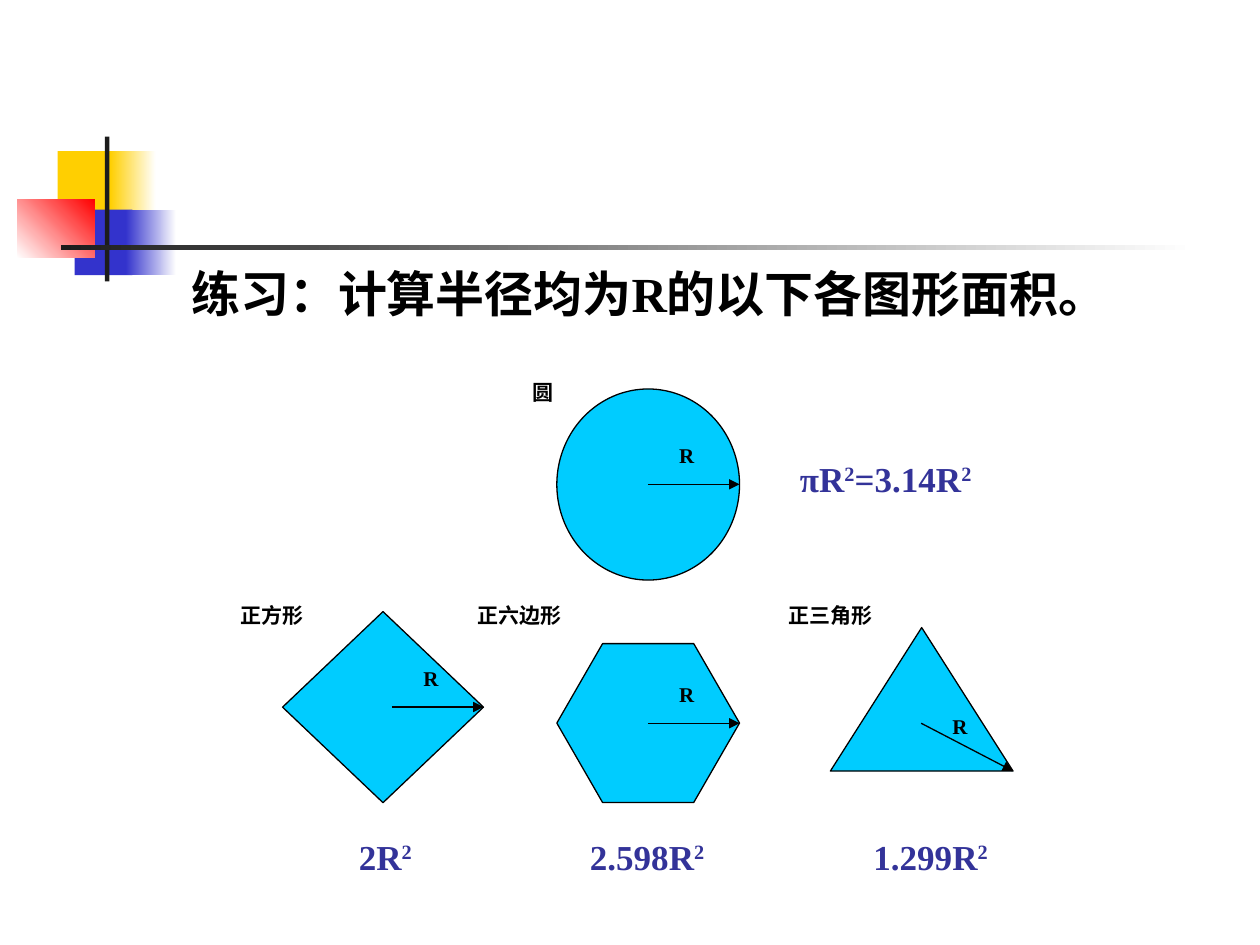
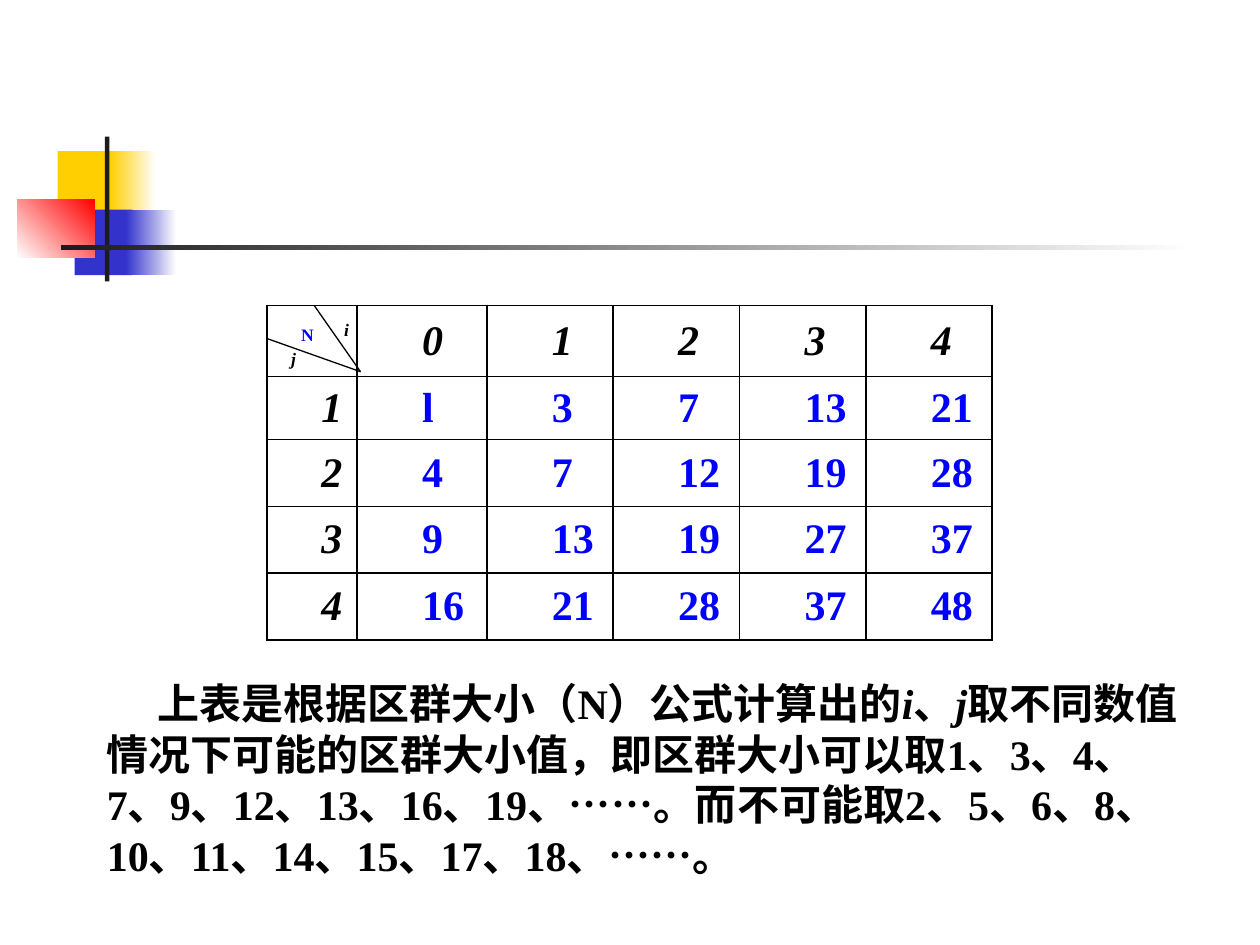
from lxml import etree
from pptx import Presentation
from pptx.dml.color import RGBColor
from pptx.enum import shapes, text
from pptx.oxml import ns
from pptx.util import Pt

BLACK = RGBColor(0, 0, 0)
WHITE = RGBColor(255, 255, 255)
INK = RGBColor(0x1C, 0x1C, 0x1C)
YELLOW = RGBColor(0xFF, 0xCF, 0x01)
INDIGO = RGBColor(0x33, 0x33, 0xCC)
RED = RGBColor(255, 0, 0)
CYAN = RGBColor(0x00, 0xCC, 0xFF)
NAVY = RGBColor(0x33, 0x33, 0x99)
BLUE = RGBColor(0, 0, 255)
FONT = "Times New Roman"
SHAPE = shapes.MSO_SHAPE


def write(p, words, size=24, color=BLACK, italic=False, raised=False):
    r = p.add_run()
    r.text = words
    f = r.font
    f.name, f.size, f.bold, f.italic = FONT, Pt(size), True, italic
    f.color.rgb = color
    if raised:
        r._r.get_or_add_rPr().set("baseline", "30000")


def sub(parent, tag, **attrs):
    return etree.SubElement(parent, ns.qn(tag), **attrs)


class Deck:
    """Holds the presentation, its shared style and the current slide."""

    def __init__(self):
        self.prs = Presentation()
        self.prs.slide_width, self.prs.slide_height = Pt(720), Pt(540)
        self.s = None

    def new_slide(self):
        self.s = self.prs.slides.add_slide(self.prs.slide_layouts[6])
        self.shape(SHAPE.RECTANGLE, (33, 86.4, 34.5, 37.4), YELLOW)
        self.fade((63, 86.4, 26, 37.4), YELLOW, WHITE)
        self.shape(SHAPE.RECTANGLE, (42.7, 119.8, 33, 37.4), INDIGO)
        self.fade((72, 119.8, 28.8, 37.4), INDIGO, WHITE)
        self.fade((9.8, 113.8, 44.4, 33.5), WHITE, RED, 45)
        self.shape(SHAPE.RECTANGLE, (60, 78, 2.5, 82.8), INK)
        self.fade((34.8, 140.2, 648, 2.5), INK, WHITE)

    def shape(self, kind, box, color, outlined=False):
        sp = self.s.shapes.add_shape(kind, *map(Pt, box))
        sp.shadow.inherit = False
        sp.fill.solid()
        sp.fill.fore_color.rgb = color
        if outlined:
            sp.line.color.rgb, sp.line.width = BLACK, Pt(0.75)
        else:
            sp.line.fill.background()
        return sp

    def fade(self, box, start, end, angle=0):
        """Rectangle blending start into end; angle runs counter-clockwise."""
        fill = self.shape(SHAPE.RECTANGLE, box, start).fill
        fill.gradient()
        fill.gradient_angle = angle
        for stop, color, place in zip(fill.gradient_stops, (start, end), (0, 1)):
            stop.color.rgb, stop.position = color, place

    def line(self, start, end, arrow=False):
        c = self.s.shapes.add_connector(shapes.MSO_CONNECTOR.STRAIGHT,
                                        *map(Pt, (*start, *end)))
        c.line.color.rgb, c.line.width = BLACK, Pt(0.75)
        if arrow:
            sub(c.line._get_or_add_ln(), "a:tailEnd", type="triangle")
        sub(c._element.spPr, "a:effectLst")

    def text(self, box, *runs, inset=True, wrap=True, indent=0, **fmt):
        """Text box; each run is a string or a (string, format) pair."""
        tf = self.s.shapes.add_textbox(*map(Pt, box)).text_frame
        tf.word_wrap = wrap
        if not inset:
            tf.margin_left = tf.margin_right = tf.margin_top = tf.margin_bottom = 0
        p = tf.paragraphs[0]
        if indent:
            p._p.get_or_add_pPr().set("indent", str(Pt(indent)))
        for run in runs:
            words, own = (run, {}) if isinstance(run, str) else run
            write(p, words, **{**fmt, **own})

    def formula(self, left, top, width, *bases):
        """Each base is followed by a raised 2."""
        runs = []
        for base in bases:
            runs += [base, ("2", {"raised": True})]
        self.text((left, top, width, 31), *runs, size=20, color=NAVY)

    def figure(self, kind, box, centre, tip, radius_at, name, name_box):
        """Named shape with an arrow R from its centre to its outline."""
        sp = self.shape(kind, box, CYAN, outlined=True)
        if kind == SHAPE.HEXAGON:
            sp.adjustments[0] = 0.288
        self.line(centre, tip, arrow=True)
        self.text((*radius_at, 21, 27.4), "R", size=12)
        self.text((*name_box, 27.4), name, size=12)

    def table(self, left, top, widths, heights, rows):
        t = self.s.shapes.add_table(len(rows), len(widths), Pt(left), Pt(top),
                                    Pt(sum(widths)), Pt(sum(heights))).table
        t.first_row = t.horz_banding = False
        for col, width in zip(t.columns, widths):
            col.width = Pt(width)
        for row, height in zip(t.rows, heights):
            row.height = Pt(height)
        for i, row in enumerate(rows):
            for j, value in enumerate(row):
                self.cell(t.cell(i, j), value, heading=i == 0 or j == 0,
                          indent=37.2 if j else 31)

    def cell(self, cell, value, heading, indent):
        cell.vertical_anchor = text.MSO_ANCHOR.MIDDLE
        cell.margin_left, cell.margin_right = Pt(indent), Pt(0)
        p = cell.text_frame.paragraphs[0]
        if value:
            write(p, value, color=BLACK if heading else BLUE, italic=heading)
        else:
            p.font.size = Pt(24)
        tc_pr = cell._tc.get_or_add_tcPr()
        for side in ("a:lnL", "a:lnR", "a:lnT", "a:lnB"):
            fill = sub(sub(tc_pr, side, w=str(Pt(1))), "a:solidFill")
            sub(fill, "a:srgbClr", val=str(BLACK))
        cell.fill.background()


def areas_slide(d):
    d.new_slide()
    d.text((102.2, 147, 546.5, 41), "练习：计算半径均为R的以下各图形面积。", size=28)
    d.figure(SHAPE.HEXAGON, (318.2, 367.8, 104.4, 90.8), (370.2, 413.3),
             (422.6, 413.3), (381, 386), "正六边形", (265.7, 340.6, 72.7))
    d.figure(SHAPE.OVAL, (318.2, 222.3, 104.4, 109.2), (370.2, 276.8),
             (422.6, 276.8), (381, 249.2), "圆", (297.4, 213.1, 31.7))
    d.figure(SHAPE.DIAMOND, (161.5, 349.5, 114.8, 109.2), (224, 404),
             (276.4, 404), (234.8, 376.6), "正方形", (130.3, 340.6, 62.6))
    d.figure(SHAPE.ISOSCELES_TRIANGLE, (474.5, 358.6, 104.4, 82), (526.4, 413.3),
             (578.9, 440.6), (537.2, 404), "正三角形", (443.5, 340.6, 72.7))
    d.formula(450, 257.8, 132, "πR", "=3.14R")
    for left, width, base in ((198, 72, "2R"), (330, 90, "2.598R"),
                              (492, 90, "1.299R")):
        d.formula(left, 473.8, width, base)


def clusters_slide(d):
    d.new_slide()
    corner = (206, 212.4)
    for start in ((179.5, 174.5), (152.7, 193.5)):
        d.line(start, corner)
    for left, top, letter, color in ((196.6, 182.2, "i", BLACK),
                                     (172.1, 185, "N", BLUE),
                                     (166.3, 198.9, "j", BLACK)):
        d.text((left, top, 10, 13), letter, inset=False, wrap=False, size=10,
               color=color, italic=color == BLACK)
    d.table(152.6, 174.5, [51.4, 74.2] + [72.2] * 4, [40.6, 36] + [38.2] * 3, [
        ["", "0", "1", "2", "3", "4"],
        ["1", "l", "3", "7", "13", "21"],
        ["2", "4", "7", "12", "19", "28"],
        ["3", "9", "13", "19", "27", "37"],
        ["4", "16", "21", "28", "37", "48"],
    ])
    slanted = {"italic": True}
    d.text((54, 383.8, 630, 124), "上表是根据区群大小（N）公式计算出的",
           ("i", slanted), "、", ("j", slanted),
           "取不同数值情况下可能的区群大小值，即区群大小可以取"
           "1、3、4、7、9、12、13、16、19、……。而不可能取"
           "2、5、6、8、10、11、14、15、17、18、……。", indent=29)


def main():
    d = Deck()
    areas_slide(d)
    clusters_slide(d)
    d.prs.save("out.pptx")


if __name__ == "__main__":
    main()
